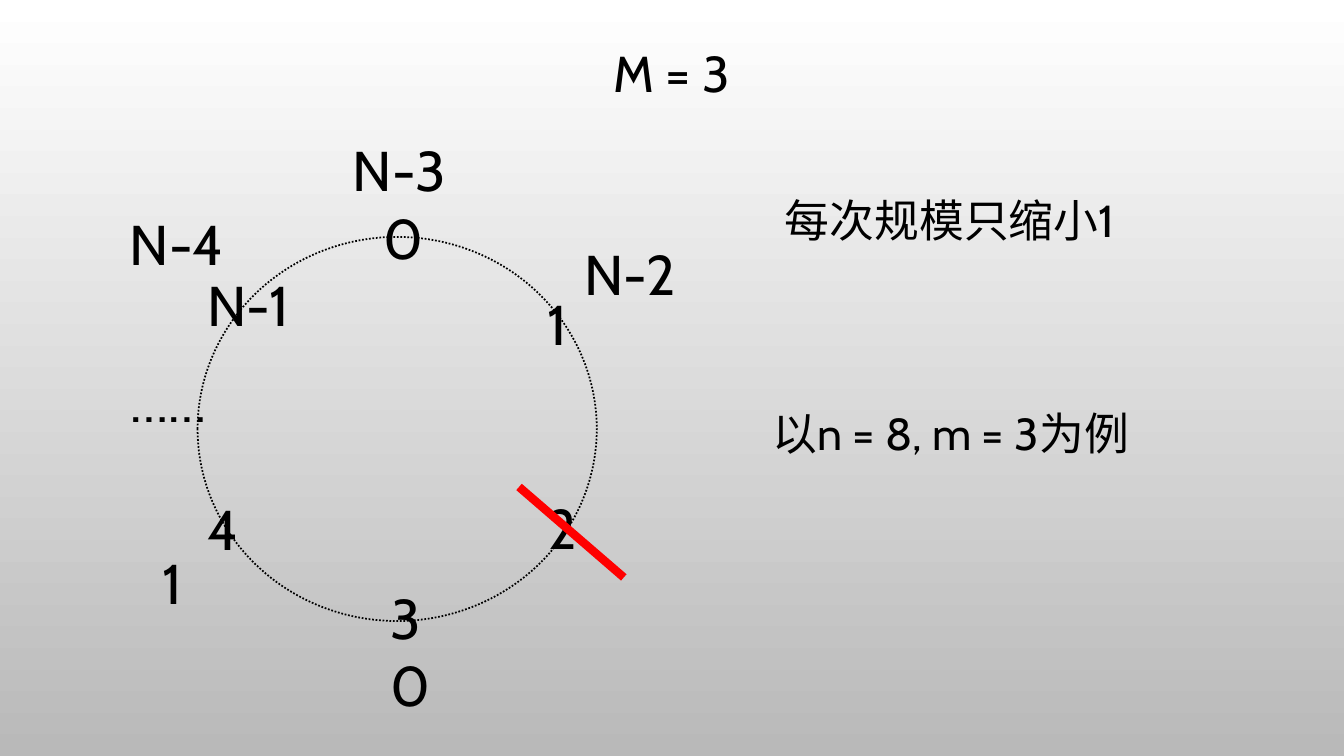
"""Build the M = 3 slide: a circle of numbered people and their new numbers."""
import pptx
import pptx.util
import pptx.dml.color
import pptx.enum.dml
import pptx.enum.shapes
import pptx.enum.text
import pptx.oxml

Cm = pptx.util.Cm
Pt = pptx.util.Pt
COLORS = {"top": "FFFFFF", "bottom": "B9B9B9", "ink": "000000", "strike": "FF0000"}


def color(name):
    return pptx.dml.color.RGBColor.from_string(COLORS[name])


def add_run(para, text, size):
    span = para.add_run()
    span.text = text
    span.font.size = Pt(size)
    span.font.name = "Cabin"
    span.font.color.rgb = color("ink")


deck = pptx.Presentation()
deck.slide_width = Cm(33.87)
deck.slide_height = Cm(19.05)
page = deck.slides.add_slide(deck.slide_layouts[5])

backdrop = page.background.fill
backdrop.gradient()
backdrop.gradient_angle = 270
for stop, name, position in zip(backdrop.gradient_stops, ("top", "bottom"), (0, 1)):
    stop.color.rgb = color(name)
    stop.position = position

title = page.shapes.title
title.left, title.top, title.width, title.height = Cm(2.54), Cm(0.84), Cm(28.78), Cm(2.18)
title.text_frame.vertical_anchor = pptx.enum.text.MSO_ANCHOR.MIDDLE
para = title.text_frame.paragraphs[0]
para.alignment = pptx.enum.text.PP_ALIGN.CENTER
para.line_spacing = 0.9
add_run(para, "M = 3", 36)

circle = page.shapes.add_shape(
    pptx.enum.shapes.MSO_SHAPE.OVAL, Cm(4.98), Cm(5.97), Cm(10.06), Cm(9.68))
circle.shadow.inherit = False
circle.fill.background()
circle.line.color.rgb = color("ink")
circle.line.width = Pt(1.25)
circle.line.dash_style = pptx.enum.dml.MSO_LINE.ROUND_DOT

labels = [
    ("0", 9.42, 5.0, 1.14, 40),
    ("1", 13.56, 7.16, 1.14, 40),
    ("2", 13.56, 12.32, 1.14, 40),
    ("3", 9.58, 14.58, 1.14, 40),
    ("4", 4.98, 12.34, 1.14, 40),
    ("N-1", 4.98, 6.68, 2.82, 40),
    ("……", 3.05, 9.12, 3.86, 40),
    ("0", 9.58, 16.26, 1.14, 40),
    ("1", 3.84, 13.69, 1.14, 40),
    ("N-4", 3.02, 5.16, 3.07, 40),
    ("N-3", 8.64, 3.28, 3.07, 40),
    ("N-2", 14.48, 5.92, 3.07, 40),
    ("每次规模只缩小1", 19.53, 4.72, 10.06, 32),
    ("以n = 8, m = 3为例", 19.23, 10.11, 10.06, 32),
]
heights = {40: 1.96, 32: 1.63}
for text, left, top, width, size in labels:
    box = page.shapes.add_textbox(Cm(left), Cm(top), Cm(width), Cm(heights[size]))
    box.text_frame.word_wrap = True
    box.text_frame.auto_size = pptx.enum.text.MSO_AUTO_SIZE.SHAPE_TO_FIT_TEXT
    add_run(box.text_frame.paragraphs[0], text, size)

strike = page.shapes.add_connector(
    pptx.enum.shapes.MSO_CONNECTOR.STRAIGHT, Cm(13.08), Cm(12.27), Cm(15.72), Cm(14.55))
strike.line.color.rgb = color("strike")
strike.line.width = Pt(6)
strike._element.spPr.append(pptx.oxml.parse_xml(
    '<a:effectLst xmlns:a="http://schemas.openxmlformats.org/drawingml/2006/main"/>'))

deck.save("out.pptx")
